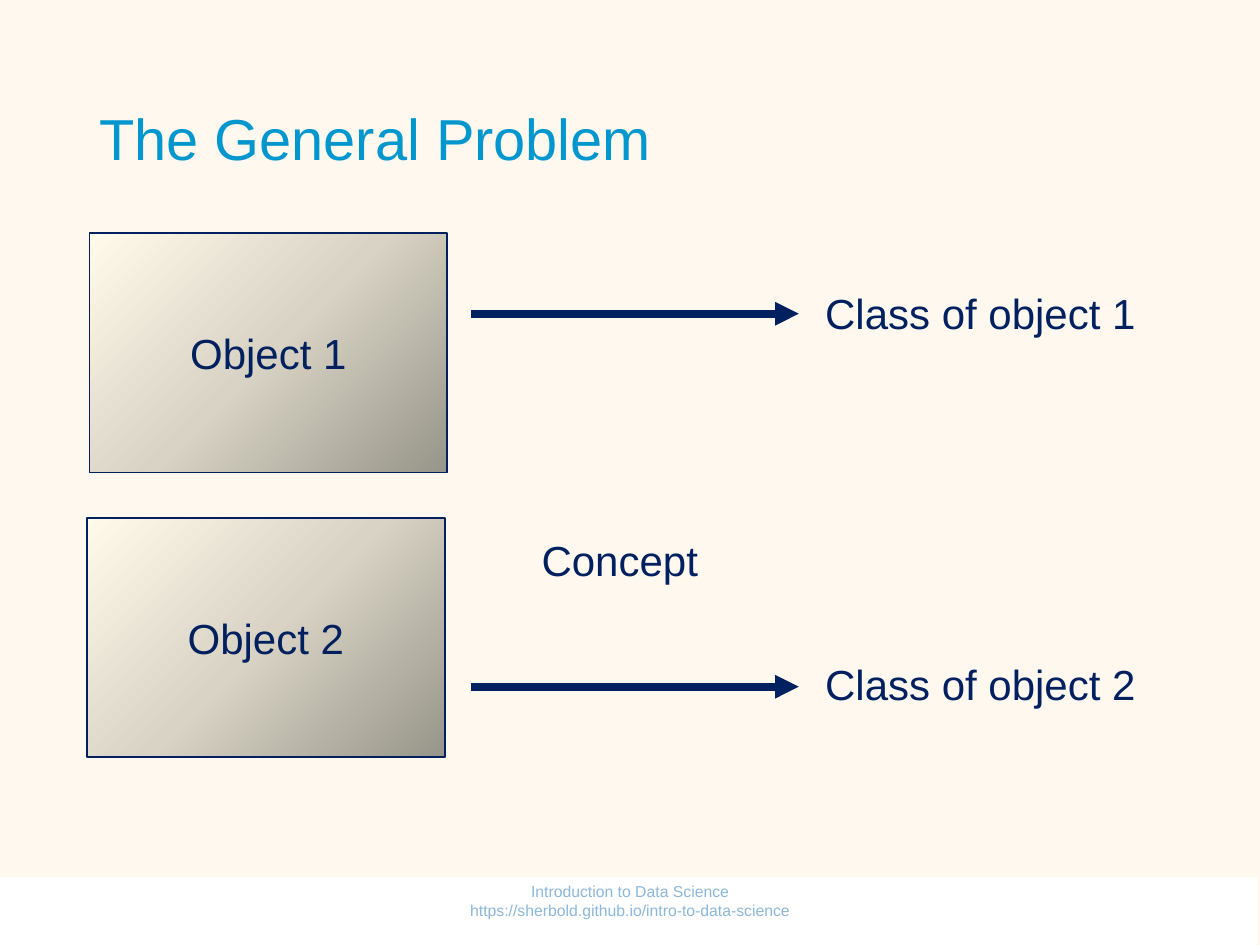
"""Build the slide that maps objects to their classes through a concept."""
from lxml import etree
from pptx import Presentation
from pptx import util as u
from pptx.dml.color import RGBColor
from pptx.enum import shapes, text
from pptx.oxml.ns import qn

NAVY = "002060"
GRADIENT_STOPS = [(0, "98958A"), (50, "D8D3C4"), (100, "FFFAEA")]

presentation = Presentation()
presentation.slide_width, presentation.slide_height = u.Inches(10), u.Inches(7.5)
column = presentation.slide_width / 100
row = presentation.slide_height / 75
slide = presentation.slides.add_slide(presentation.slide_layouts[6])
color = RGBColor.from_string


def grid(left, top, width, height):
    """Turn columns and rows into slide lengths."""
    return int(left * column), int(top * row), int(width * column), int(height * row)


def write(shape, words, size=24, ink=NAVY, align="LEFT", anchor="MIDDLE", wrap=True, spacing=1.0):
    """Put formatted text into a shape."""
    frame = shape.text_frame
    frame.word_wrap = wrap
    frame.vertical_anchor = text.MSO_ANCHOR[anchor]
    paragraph = frame.paragraphs[0]
    paragraph.text = words
    paragraph.alignment = text.PP_ALIGN[align]
    paragraph.line_spacing = spacing
    paragraph.font.name = "Arial"
    paragraph.font.size = u.Pt(size)
    paragraph.font.color.rgb = color(ink)


slide.background.fill.solid()
slide.background.fill.fore_color.rgb = color("FFF8EF")

footer_band = slide.shapes.add_shape(shapes.MSO_SHAPE.RECTANGLE, *grid(0, 69.6, 99.8, 5.4))
footer_band.shadow.inherit = False
footer_band.fill.solid()
footer_band.fill.fore_color.rgb = color("FFFFFF")
footer_band.line.fill.background()

title = slide.shapes.add_textbox(*grid(6.9, 4, 86.2, 14.5))
write(title, "The General Problem", size=33, ink="0097CE", spacing=0.9)
footer = slide.shapes.add_textbox(*grid(33.1, 69.5, 33.8, 4))
write(footer, "Introduction to Data Science https://sherbold.github.io/intro-to-data-science",
      size=9, ink="8CB7DA", align="CENTER")

for number, box_left, box_top, label_top, arrow_row in [(1, 7.1, 18.5, 22.3, 24.9), (2, 6.9, 41.1, 51.8, 54.5)]:
    label = slide.shapes.add_textbox(*grid(64.5, label_top, 26.9, 5))
    write(label, f"Class of object {number}", anchor="TOP", wrap=False)

    start_x, start_y, end_x, end_y = grid(37.4, arrow_row, 63.4, arrow_row)
    arrow = slide.shapes.add_connector(shapes.MSO_CONNECTOR.STRAIGHT, start_x, start_y, end_x, end_y)
    arrow.line.color.rgb = color(NAVY)
    arrow.line.width = u.Pt(4.5)
    etree.SubElement(arrow.line._get_or_add_ln(), qn("a:tailEnd"), type="triangle")
    etree.SubElement(arrow._element.spPr, qn("a:effectLst"))

    box = slide.shapes.add_shape(shapes.MSO_SHAPE.RECTANGLE, *grid(box_left, box_top, 28.4, 19))
    box.shadow.inherit = False
    box.line.color.rgb = color(NAVY)
    box.line.width = u.Pt(1)
    box.fill.gradient()
    gradient = box._element.spPr.find(qn("a:gradFill"))
    for child in list(gradient):
        gradient.remove(child)
    stops = etree.SubElement(gradient, qn("a:gsLst"))
    for percent, shade in GRADIENT_STOPS:
        stop = etree.SubElement(stops, qn("a:gs"), pos=str(percent * 1000))
        etree.SubElement(stop, qn("a:srgbClr"), val=shade)
    focus = etree.SubElement(gradient, qn("a:path"), {"path": "circle"})
    etree.SubElement(focus, qn("a:fillToRect"), l="100000", t="100000")
    write(box, f"Object {number}", align="CENTER")

concept = slide.shapes.add_textbox(*grid(42, 41.9, 14.6, 5))
write(concept, "Concept", anchor="TOP", wrap=False)

presentation.save("out.pptx")
